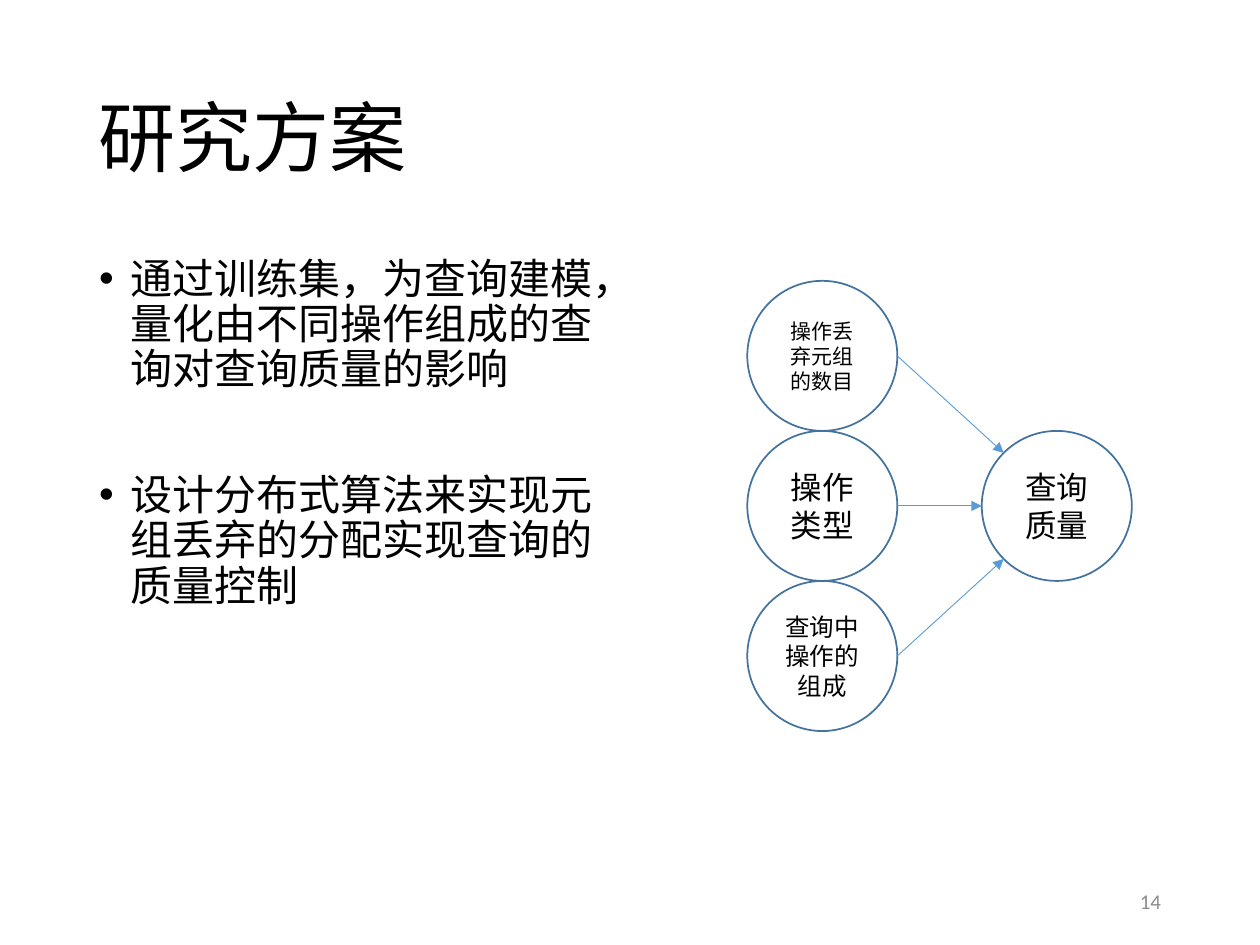
from lxml.etree import SubElement
from pptx import Presentation
from pptx.dml.color import RGBColor
from pptx.enum.shapes import MSO_CONNECTOR, MSO_SHAPE
from pptx.enum.text import MSO_ANCHOR, PP_ALIGN
from pptx.oxml.ns import qn
from pptx.util import Pt

COLORS = {
    "text": "000000",
    "number": "8C8C8C",
    "fill": "FFFFFF",
    "outline": "43739E",
    "arrow": "5B9BD5",
}
FONT = "Calibri"
DIAMETER = 85.75
FACTOR_LEFT, FACTOR_TOP = 427, 160.5
QUALITY_LEFT = 561
FACTORS = [("操作丢弃元组的数目", 12), ("操作类型", 18), ("查询中操作的组成", 14)]
BULLETS = [
    ("通过训练集，为查询建模，量化由不同操作组成的查询对查询质量的影响", 10),
    ("设计分布式算法来实现元组丢弃的分配实现查询的质量控制", 46),
]


def color(name):
    return RGBColor.from_string(COLORS[name])


def add_run(p, text, size, name="text"):
    r = p.add_run()
    r.text = text
    r.font.name = FONT
    r.font.size = Pt(size)
    r.font.color.rgb = color(name)


def add_box(s, left, top, width, height, anchor=MSO_ANCHOR.MIDDLE):
    tf = s.shapes.add_textbox(Pt(left), Pt(top), Pt(width), Pt(height)).text_frame
    tf.word_wrap = True
    tf.vertical_anchor = anchor
    return tf


def add_bullets(tf, items):
    for i, (text, space) in enumerate(items):
        p = tf.paragraphs[0] if i == 0 else tf.add_paragraph()
        p.line_spacing = 0.9
        p.space_before = Pt(space)
        pPr = p._p.get_or_add_pPr()
        pPr.set("marL", str(Pt(18)))
        pPr.set("indent", str(Pt(-18)))
        SubElement(pPr, qn("a:buFont")).set("typeface", "Arial")
        SubElement(pPr, qn("a:buChar")).set("char", "•")
        add_run(p, text, 24)


def add_circle(s, left, top, text, size):
    sp = s.shapes.add_shape(
        MSO_SHAPE.OVAL, Pt(left), Pt(top), Pt(DIAMETER), Pt(DIAMETER)
    )
    sp.shadow.inherit = False
    sp.fill.solid()
    sp.fill.fore_color.rgb = color("fill")
    sp.line.color.rgb = color("outline")
    sp.line.width = Pt(1)
    tf = sp.text_frame
    tf.word_wrap = True
    tf.vertical_anchor = MSO_ANCHOR.MIDDLE
    p = tf.paragraphs[0]
    p.alignment = PP_ALIGN.CENTER
    add_run(p, text, size)


def add_arrow(s, x1, y1, x2, y2):
    c = s.shapes.add_connector(
        MSO_CONNECTOR.STRAIGHT, Pt(x1), Pt(y1), Pt(x2), Pt(y2)
    )
    c.line.color.rgb = color("arrow")
    c.line.width = Pt(0.5)
    SubElement(c.line._get_or_add_ln(), qn("a:tailEnd")).set("type", "triangle")
    SubElement(c._element.spPr, qn("a:effectLst"))


def add_diagram(s):
    radius = DIAMETER / 2
    diagonal = radius * 0.5 ** 0.5
    center_x = QUALITY_LEFT + radius
    center_y = FACTOR_TOP + DIAMETER + radius
    add_circle(s, QUALITY_LEFT, center_y - radius, "查询质量", 18)
    for i, (text, size) in enumerate(FACTORS):
        add_circle(s, FACTOR_LEFT, FACTOR_TOP + i * DIAMETER, text, size)
    for row in (-1, 0, 1):
        end_x = center_x - (diagonal if row else radius)
        add_arrow(s, FACTOR_LEFT + DIAMETER, center_y + row * DIAMETER,
                  end_x, center_y + row * diagonal)


def main():
    prs = Presentation()
    prs.slide_width, prs.slide_height = Pt(720), Pt(540)
    s = prs.slides.add_slide(prs.slide_layouts[6])

    p = add_box(s, 49.5, 28.75, 621, 104.4).paragraphs[0]
    p.line_spacing = 0.9
    add_run(p, "研究方案", 44)

    add_bullets(add_box(s, 49.5, 143.75, 306, 342.6, MSO_ANCHOR.TOP), BULLETS)

    p = add_box(s, 508.5, 500.5, 162, 28.75).paragraphs[0]
    p.alignment = PP_ALIGN.RIGHT
    add_run(p, "14", 12, "number")

    add_diagram(s)
    prs.save("out.pptx")


if __name__ == "__main__":
    main()
